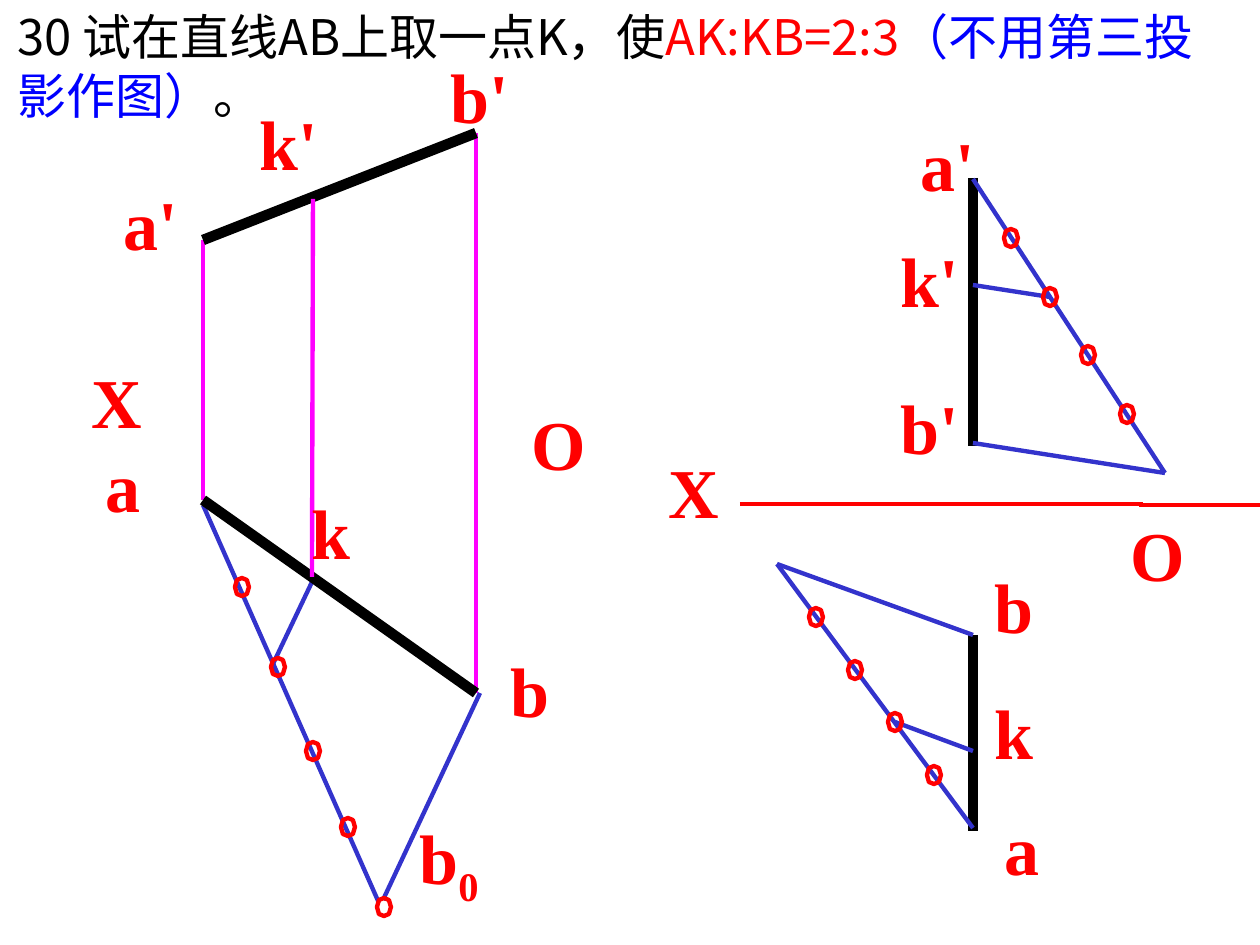
"""Build the slide on dividing segment AB in the ratio 2:3."""
from dataclasses import dataclass

from lxml.etree import SubElement as Sub
from pptx import Presentation
from pptx.dml.color import RGBColor
from pptx.enum.shapes import MSO_CONNECTOR as Conn
from pptx.enum.text import MSO_ANCHOR as Anchor, MSO_AUTO_SIZE as Auto, PP_ALIGN as Align
from pptx.oxml.ns import qn
from pptx.slide import Slide
from pptx.util import Emu, Pt

RED = RGBColor(0xFF, 0x00, 0x00)
BLACK = RGBColor(0x00, 0x00, 0x00)
BLUE = RGBColor(0x00, 0x00, 0xFF)
INDIGO = RGBColor(0x33, 0x33, 0xCC)
PINK = RGBColor(0xFF, 0x00, 0xFF)
SERIF = "Times New Roman"
SANS = "Noto Sans CJK SC"
SCALE = 914400 / 126
THIN, THICK = 2.5, 6
Point = tuple[int, int]


@dataclass
class Line:
    """A straight segment between two points."""
    start: Point
    end: Point
    color: RGBColor = INDIGO
    width: float = THIN


@dataclass
class Label:
    """A point name in a box, with an optional subscript."""
    text: str
    left: int
    top: int
    width: int
    sub: str = ""


TITLE = [
    ("30 试在直线AB上取一点K，使", BLACK),
    ("AK:KB=2:3", RED),
    ("（不用第三投影作图）", BLUE),
    ("。", BLACK),
]
UPPER = Line((973, 179), (1165, 473))
LOWER = Line((973, 828), (777, 564))
LINES = [
    Line((740, 504), (1143, 504), RED),
    Line((1139, 505), (1260, 505), RED),
    Line((973, 178), (973, 446), BLACK, THICK),
    Line((973, 635), (973, 831), BLACK, THICK),
    UPPER,
    LOWER,
    Line((973, 443), (1165, 473)),
    Line((973, 285), (1050, 297)),
    Line((777, 564), (973, 635)),
    Line((895, 722), (973, 751)),
    Line((203, 505), (379, 903)),
    Line((480, 693), (383, 900)),
    Line((312, 582), (273, 664)),
    Line((203, 240), (203, 500), PINK),
    Line((476, 133), (476, 693), PINK),
    Line((203, 240), (476, 133), BLACK, THICK),
    Line((203, 500), (476, 693), BLACK, THICK),
    Line((312, 577), (313, 199), PINK),
]
LABELS = [
    Label("a'", 906, 115, 81),
    Label("b'", 886, 378, 85),
    Label("a", 992, 799, 60),
    Label("b", 982, 557, 64),
    Label("O", 1118, 505, 79),
    Label("X", 655, 442, 76),
    Label("k'", 886, 231, 85),
    Label("k", 982, 683, 64),
    Label("k", 299, 483, 64),
    Label("k'", 245, 94, 85),
    Label("a'", 109, 174, 81),
    Label("b'", 436, 47, 85),
    Label("a", 93, 436, 60),
    Label("b", 498, 641, 64),
    Label("O", 519, 394, 79),
    Label("X", 78, 352, 76),
    Label("b", 403, 808, 88, "0"),
]
LEFT = [(242, 587), (278, 667), (313, 751), (348, 827), (384, 907)]
RING = [(7, 0), (5, -7), (0, -9), (-5, -7), (-7, 0), (-5, 7), (0, 9), (5, 7)]


def px(num: float) -> Emu:
    """Turn px into EMU."""
    return Emu(round(num * SCALE))


def fifths(line: Line) -> list[Point]:
    """Return the four inner points that cut a line into fifths."""
    (ax, ay), (bx, by) = line.start, line.end
    return [(round(ax + (bx - ax) * i / 5), round(ay + (by - ay) * i / 5)) for i in range(1, 5)]


def draw_line(slide: Slide, line: Line) -> None:
    """Draw one segment."""
    ends = [px(n) for n in line.start + line.end]
    conn = slide.shapes.add_connector(Conn.STRAIGHT, *ends)
    conn.line.color.rgb = line.color
    conn.line.width = Pt(line.width)
    Sub(conn._element.spPr, qn("a:effectLst"))


def draw_mark(slide: Slide, spot: Point) -> None:
    """Draw a small ring centred on a division point."""
    pts = [(px(spot[0] + dx), px(spot[1] + dy)) for dx, dy in RING]
    form = slide.shapes.build_freeform(*pts[0], scale=1.0)
    form.add_line_segments(pts[1:], close=True)
    ring = form.convert_to_shape()
    ring.shadow.inherit = False
    ring.fill.background()
    ring.line.color.rgb = RED
    ring.line.width = Pt(THIN)


def draw_label(slide: Slide, label: Label) -> None:
    """Write one point name."""
    box = slide.shapes.add_textbox(px(label.left), px(label.top), px(label.width), px(97))
    frame = box.text_frame
    frame.word_wrap = False
    frame.auto_size = Auto.SHAPE_TO_FIT_TEXT
    frame.text = label.text
    para = frame.paragraphs[0]
    para.alignment = Align.RIGHT
    if label.sub:
        run = para.add_run()
        run.text = label.sub
        run._r.get_or_add_rPr().set("baseline", "-25000")
    for run in para.runs:
        font = run.font
        font.name, font.size, font.bold = SERIF, Pt(40), True
        font.color.rgb = RED


def draw_title(slide: Slide) -> None:
    """Place the title and colour its parts."""
    title = slide.shapes.title
    title.left, title.top, title.width, title.height = px(5), px(0), px(1239), px(189)
    frame = title.text_frame
    frame.word_wrap = True
    frame.auto_size = Auto.NONE
    frame.vertical_anchor = Anchor.TOP
    para = frame.paragraphs[0]
    para.alignment = Align.LEFT
    for text, color in TITLE:
        run = para.add_run()
        run.text = text
        run.font.size = Pt(28)
        run.font.color.rgb = color
        run.font.name = SANS
        Sub(run._r.get_or_add_rPr(), qn("a:ea")).set("typeface", SANS)


def main() -> None:
    """Build and save the deck."""
    deck = Presentation()
    deck.slide_width, deck.slide_height = px(1260), px(945)
    slide = deck.slides.add_slide(deck.slide_layouts[5])
    draw_title(slide)
    for line in LINES:
        draw_line(slide, line)
    for spot in fifths(UPPER) + fifths(LOWER) + LEFT:
        draw_mark(slide, spot)
    for label in LABELS:
        draw_label(slide, label)
    deck.save("out.pptx")


if __name__ == "__main__":
    main()
